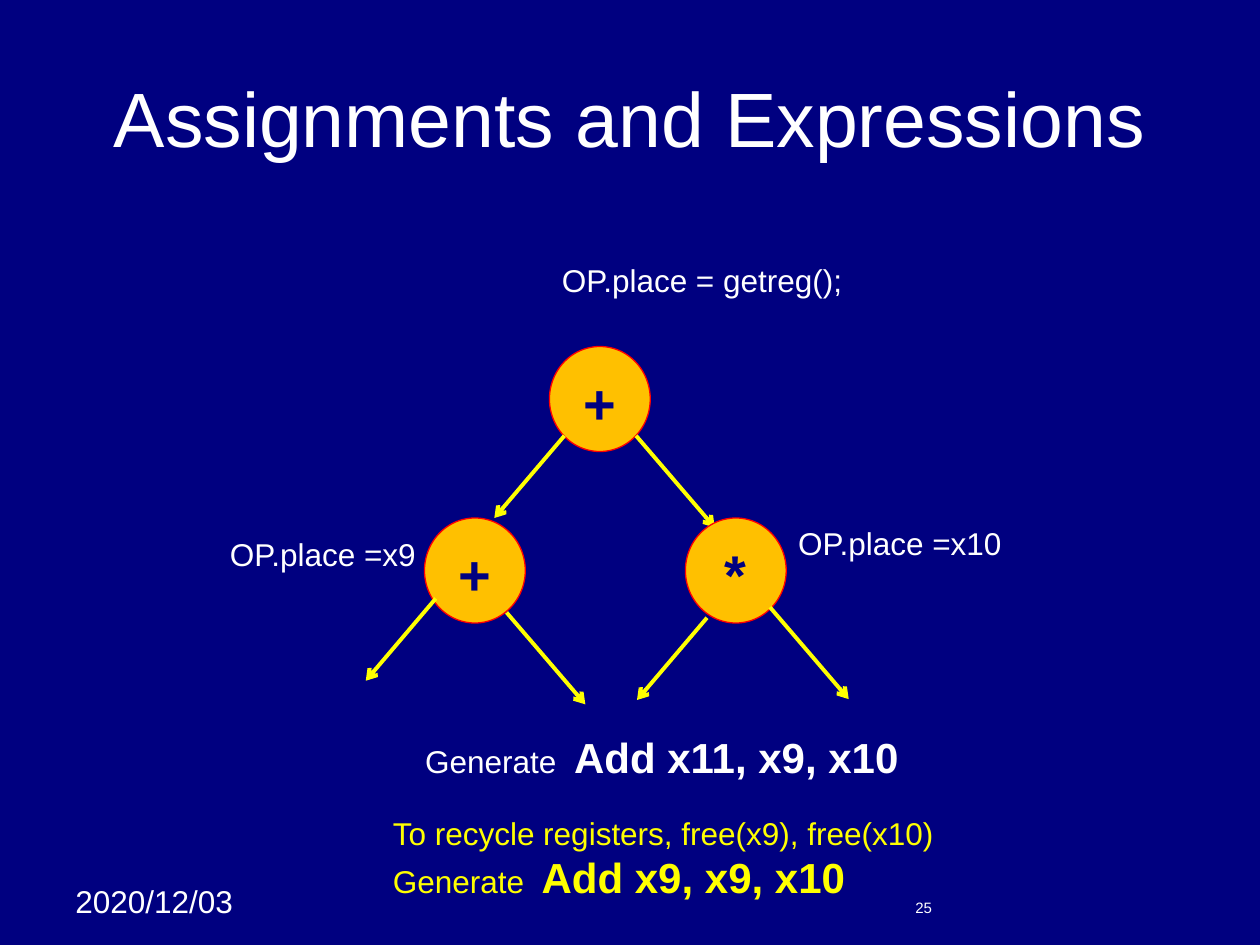
from lxml.etree import SubElement
from pptx import Presentation
from pptx.dml.color import RGBColor
from pptx.enum.shapes import MSO_CONNECTOR, MSO_SHAPE
from pptx.enum.text import MSO_ANCHOR, PP_ALIGN
from pptx.oxml.ns import qn
from pptx.util import Pt

NAVY, WHITE, YELLOW, AMBER, RED = "000080", "FFFFFF", "FFFF00", "FFC000", "FF0000"
LEFT_BRANCH, RIGHT_BRANCH = (-40, 47), (45, 52.5)


def colour(value):
    return RGBColor.from_string(value)


class TreeSlide:
    font_name = "Arial"
    node_width, node_height = 57.6, 60

    def __init__(self, page):
        self.page = page
        page.background.fill.solid()
        page.background.fill.fore_color.rgb = colour(NAVY)

    def style(self, para, size, ink, bold=False, align=PP_ALIGN.LEFT):
        para.alignment = align
        para.font.name = self.font_name
        para.font.size = Pt(size)
        para.font.bold = bold
        para.font.color.rgb = colour(ink)

    def text(self, left, top, width, height, lines, size=18, ink=WHITE,
             align=PP_ALIGN.LEFT, anchor=MSO_ANCHOR.TOP, wrap=False):
        box = self.page.shapes.add_textbox(Pt(left), Pt(top), Pt(width), Pt(height))
        frame = box.text_frame
        frame.word_wrap = wrap
        frame.vertical_anchor = anchor
        for index, (plain, strong) in enumerate(lines):
            para = frame.add_paragraph() if index else frame.paragraphs[0]
            self.style(para, size, ink, align=align)
            para.add_run().text = plain
            if strong:
                span = para.add_run()
                span.text = strong
                span.font.size = Pt(24)
                span.font.bold = True

    def node(self, left, top, operator):
        circle = self.page.shapes.add_shape(
            MSO_SHAPE.OVAL, Pt(left), Pt(top), Pt(self.node_width), Pt(self.node_height))
        circle.shadow.inherit = False
        circle.fill.solid()
        circle.fill.fore_color.rgb = colour(AMBER)
        circle.line.color.rgb = colour(RED)
        circle.line.width = Pt(0.75)
        frame = circle.text_frame
        frame.vertical_anchor = MSO_ANCHOR.TOP
        para = frame.paragraphs[0]
        para.text = operator
        self.style(para, 32, NAVY, bold=True, align=PP_ALIGN.CENTER)

    def arrow(self, x, y, branch):
        across, down = branch
        line = self.page.shapes.add_connector(
            MSO_CONNECTOR.STRAIGHT, Pt(x), Pt(y), Pt(x + across), Pt(y + down))
        line.line.color.rgb = colour(YELLOW)
        line.line.width = Pt(2.25)
        SubElement(line.line._get_or_add_ln(), qn("a:tailEnd"), type="arrow")
        SubElement(line._element.spPr, qn("a:effectLst"))


def main():
    deck = Presentation()
    deck.slide_width, deck.slide_height = Pt(720), Pt(540)
    slide = TreeSlide(deck.slides.add_slide(deck.slide_layouts[6]))

    slide.text(36, 500.4, 113.8, 50.4, [("2020/12/03", "")], wrap=True)
    slide.text(516, 509.8, 168, 19.4, [("25", "")], size=8.6, wrap=True)
    slide.text(36, 21.6, 648, 90, [("Assignments and Expressions", "")], size=44,
               align=PP_ALIGN.CENTER, anchor=MSO_ANCHOR.MIDDLE, wrap=True)

    slide.node(314, 198, "+")
    slide.arrow(322.5, 249, LEFT_BRANCH)
    slide.arrow(363.5, 249, RIGHT_BRANCH)
    slide.node(242.6, 296, "+")
    slide.node(391.7, 296, "*")
    for x, y, branch in [(249, 342, LEFT_BRANCH), (404, 353, LEFT_BRANCH),
                         (289.5, 350, RIGHT_BRANCH), (440, 347, RIGHT_BRANCH)]:
        slide.arrow(x, y, branch)

    slide.text(124.3, 302.4, 123, 29, [("OP.place =x9", "")])
    slide.text(449, 296, 132.5, 29, [("OP.place =x10", "")])
    slide.text(235.9, 414.7, 286, 36, [("Generate  ", "Add x11, x9, x10")])
    slide.text(217.4, 461.5, 325.4, 57.6,
               [("To recycle registers, free(x9), free(x10)", ""),
                ("Generate  ", "Add x9, x9, x10")], ink=YELLOW)
    slide.text(314, 145.8, 177, 29, [("OP.place = getreg();", "")])

    deck.save("out.pptx")


if __name__ == "__main__":
    main()
